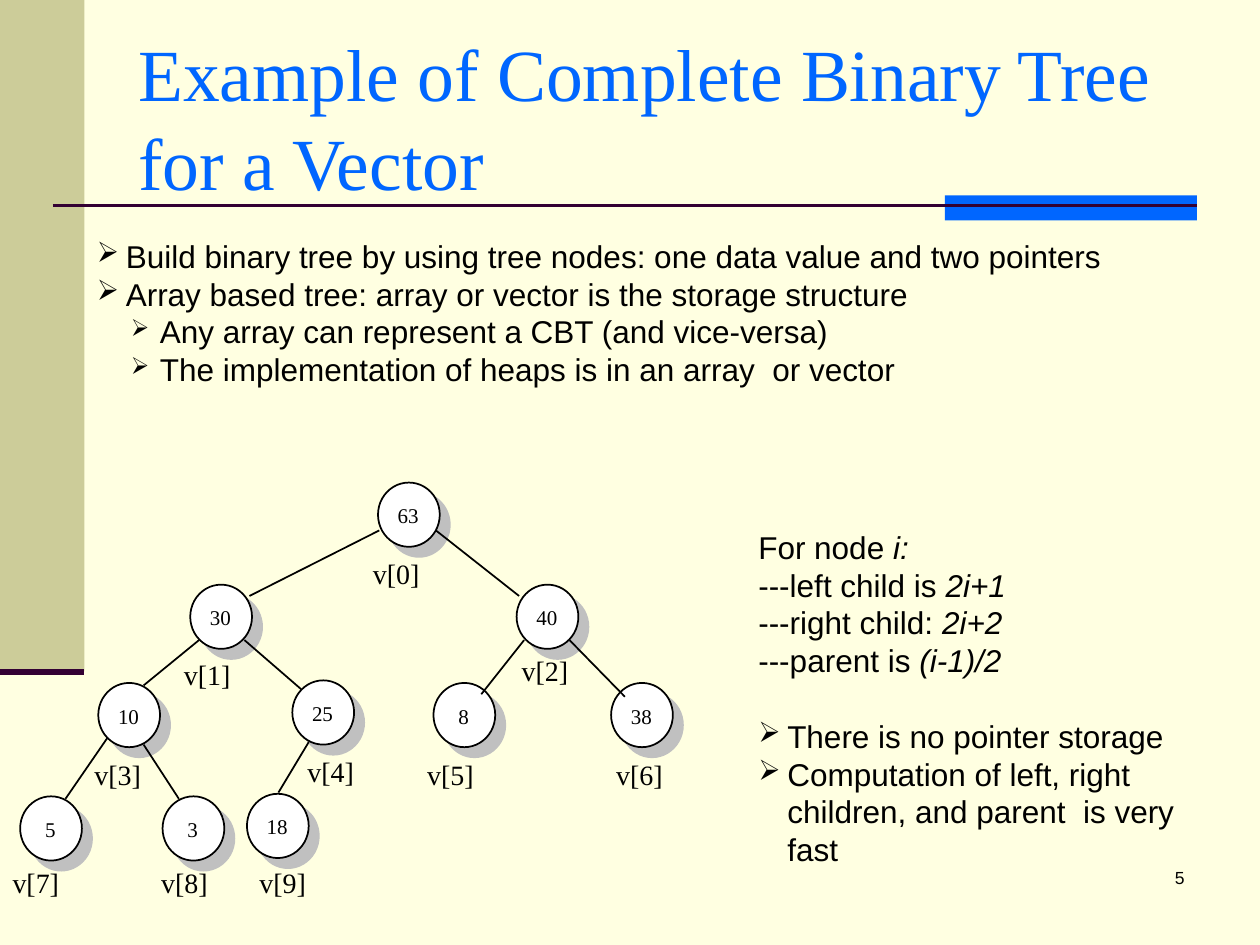
from dataclasses import dataclass

from lxml import etree
from pptx import Presentation
from pptx.dml.color import RGBColor
from pptx.enum.shapes import MSO_CONNECTOR, MSO_SHAPE
from pptx.enum.text import MSO_ANCHOR, PP_ALIGN
from pptx.oxml.ns import qn
from pptx.util import Inches, Pt

RECTANGLE = MSO_SHAPE.RECTANGLE
OVAL = MSO_SHAPE.OVAL
STRAIGHT = MSO_CONNECTOR.STRAIGHT
LEFT, CENTER, RIGHT = PP_ALIGN.LEFT, PP_ALIGN.CENTER, PP_ALIGN.RIGHT
TOP, MIDDLE = MSO_ANCHOR.TOP, MSO_ANCHOR.MIDDLE

CREAM = RGBColor(0xFF, 0xFF, 0xE1)
KHAKI = RGBColor(0xCC, 0xCC, 0x99)
BLUE = RGBColor(0x00, 0x66, 0xFF)
PLUM = RGBColor(0x33, 0x00, 0x33)
SILVER = RGBColor(0xC0, 0xC0, 0xC0)
WHITE = RGBColor(0xFF, 0xFF, 0xFF)
BLACK = RGBColor(0x00, 0x00, 0x00)

SANS, SERIF = "Arial", "Times New Roman"
LINE_RATIO = 1.2
NODE_WIDTH, NODE_HEIGHT = 0.49, 0.51
SHADOW_OFFSET = 0.08
DIGIT_WIDTH = 0.1
HANGING = 0.23


@dataclass
class Span:
    text: str
    italic: bool = False


@dataclass
class Para:
    spans: list[Span]
    margin: float = 0
    bullet_size: int = 0
    space_before: float = 0


@dataclass
class Style:
    font: str
    size: float
    color: RGBColor = BLACK
    align: PP_ALIGN = LEFT
    anchor: MSO_ANCHOR = TOP


@dataclass
class Node:
    value: str
    left: float
    top: float
    label_left: float
    label_top: float


@dataclass
class Edge:
    start: tuple[float, float]
    end: tuple[float, float]


NODES = [
    Node("63", 3, 3.83, 2.96, 4.42),
    Node("30", 1.51, 4.64, 1.46, 5.22),
    Node("40", 4.1, 4.64, 4.14, 5.19),
    Node("10", 0.78, 5.42, 0.75, 6.01),
    Node("25", 2.32, 5.4, 2.44, 5.99),
    Node("8", 3.44, 5.42, 3.39, 6.01),
    Node("38", 4.85, 5.42, 4.89, 6.01),
    Node("5", 0.16, 6.32, 0.1, 6.87),
    Node("3", 1.29, 6.32, 1.28, 6.87),
    Node("18", 1.96, 6.3, 2.06, 6.87),
]

EDGES = [
    Edge((3.01, 4.21), (1.98, 4.73)),
    Edge((3.46, 4.21), (4.12, 4.73)),
    Edge((1.58, 5.08), (1.14, 5.44)),
    Edge((1.94, 5.08), (2.39, 5.47)),
    Edge((4.16, 5.08), (3.82, 5.51)),
    Edge((4.52, 5.08), (4.96, 5.53)),
    Edge((0.85, 5.86), (0.52, 6.34)),
    Edge((1.14, 5.91), (1.42, 6.34)),
    Edge((2.45, 5.89), (2.21, 6.29)),
]


def plain(text: str) -> Para:
    return Para([Span(text)])


def bullet(text: str, level: int = 0, space_before: float = 0) -> Para:
    margin, size = ((HANGING, 90), (0.5, 75))[level]
    return Para([Span(text)], margin, size, space_before)


def formula(lead: str, expression: str) -> Para:
    return Para([Span(lead), Span(expression, italic=True)])


def add_bullet(para, margin: float, size: int) -> None:
    properties = para._p.get_or_add_pPr()
    properties.set("marL", str(Inches(margin)))
    properties.set("indent", str(-Inches(HANGING)))
    color = etree.SubElement(properties, qn("a:buClr"))
    etree.SubElement(color, qn("a:srgbClr"), val=str(BLACK))
    etree.SubElement(properties, qn("a:buSzPct"), val=str(size * 1000))
    etree.SubElement(properties, qn("a:buChar"), char="➢")


def add_text(page, left: float, top: float, width: float, height: float,
             paras: list[Para], style: Style, tight: bool = False) -> None:
    box = page.shapes.add_textbox(Inches(left), Inches(top), Inches(width), Inches(height))
    frame = box.text_frame
    frame.word_wrap = not tight
    frame.vertical_anchor = style.anchor
    if tight:
        frame.margin_left = frame.margin_right = 0
        frame.margin_top = frame.margin_bottom = 0
    for index, content in enumerate(paras):
        para = frame.add_paragraph() if index else frame.paragraphs[0]
        para.alignment = style.align
        para.line_spacing = Pt(style.size * LINE_RATIO)
        para.space_before = Pt(content.space_before)
        if content.bullet_size:
            add_bullet(para, content.margin, content.bullet_size)
        for part in content.spans:
            span = para.add_run()
            span.text = part.text
            span.font.name = style.font
            span.font.size = Pt(style.size)
            span.font.color.rgb = style.color
            span.font.italic = part.italic


def add_filled(page, kind: MSO_SHAPE, left: float, top: float, width: float,
               height: float, fill: RGBColor, line: RGBColor | None = None) -> None:
    shape = page.shapes.add_shape(kind, Inches(left), Inches(top), Inches(width), Inches(height))
    shape.shadow.inherit = False
    shape.fill.solid()
    shape.fill.fore_color.rgb = fill
    if line is None:
        shape.line.fill.background()
    else:
        shape.line.color.rgb = line
        shape.line.width = Pt(1)


def add_line(page, edge: Edge, color: RGBColor = BLACK, width: float = 1) -> None:
    points = [Inches(value) for value in (*edge.start, *edge.end)]
    line = page.shapes.add_connector(STRAIGHT, *points)
    line.line.color.rgb = color
    line.line.width = Pt(width)
    etree.SubElement(line._element.spPr, qn("a:effectLst"))


def add_node(page, node: Node) -> None:
    for offset, fill, line in ((SHADOW_OFFSET, SILVER, SILVER), (0, WHITE, BLACK)):
        add_filled(page, OVAL, node.left + offset, node.top + offset,
                   NODE_WIDTH, NODE_HEIGHT, fill, line)
    width = DIGIT_WIDTH * len(node.value)
    add_text(page, node.left + 0.24 - width / 2, node.top + 0.16, width, 0.2,
             [plain(node.value)], Style(SERIF, 12, align=CENTER), tight=True)


def main() -> None:
    deck = Presentation()
    deck.slide_width, deck.slide_height = Inches(10), Inches(7.5)
    page = deck.slides.add_slide(deck.slide_layouts[6])
    page.background.fill.solid()
    page.background.fill.fore_color.rgb = CREAM

    add_filled(page, RECTANGLE, 0, 0, 0.67, 5.33, KHAKI)
    add_filled(page, RECTANGLE, 7.5, 1.55, 2, 0.2, BLUE)
    add_line(page, Edge((0.42, 1.63), (9.5, 1.63)), PLUM, 1.5)
    add_line(page, Edge((0, 5.33), (0.67, 5.33)), PLUM, 3.5)

    body = Style(SANS, 18)
    add_text(page, 7.42, 6.83, 2.08, 0.5, [plain("5")], Style(SANS, 10, align=RIGHT))
    add_text(page, 1, 0.3, 8.5, 1.25, [plain("Example of Complete Binary Tree for a Vector")],
             Style(SERIF, 42, BLUE, anchor=MIDDLE))
    add_text(page, 0.67, 1.83, 9.12, 1.3, [
        bullet("Build binary tree by using tree nodes: one data value and two pointers"),
        bullet("Array based tree: array or vector is the storage structure"),
        bullet("Any array can represent a CBT (and vice-versa)", level=1),
        bullet("The implementation of heaps is in an array  or vector", level=1),
    ], body)

    for node in NODES:
        add_node(page, node)
    for edge in EDGES:
        add_line(page, edge)
    for index, node in enumerate(NODES):
        add_text(page, node.label_left, node.label_top, 0.37, 0.27,
                 [plain(f"v[{index}]")], Style(SERIF, 16), tight=True)

    add_text(page, 5.92, 4.14, 3.75, 2.5, [
        formula("For node ", "i:"),
        formula("---left child is ", "2i+1"),
        formula("---right child: ", "2i+2"),
        formula("---parent is ", "(i-1)/2"),
        bullet("There is no pointer storage", space_before=body.size * LINE_RATIO),
        bullet("Computation of left, right children, and parent  is very fast"),
    ], body)

    deck.save("out.pptx")


if __name__ == "__main__":
    main()
